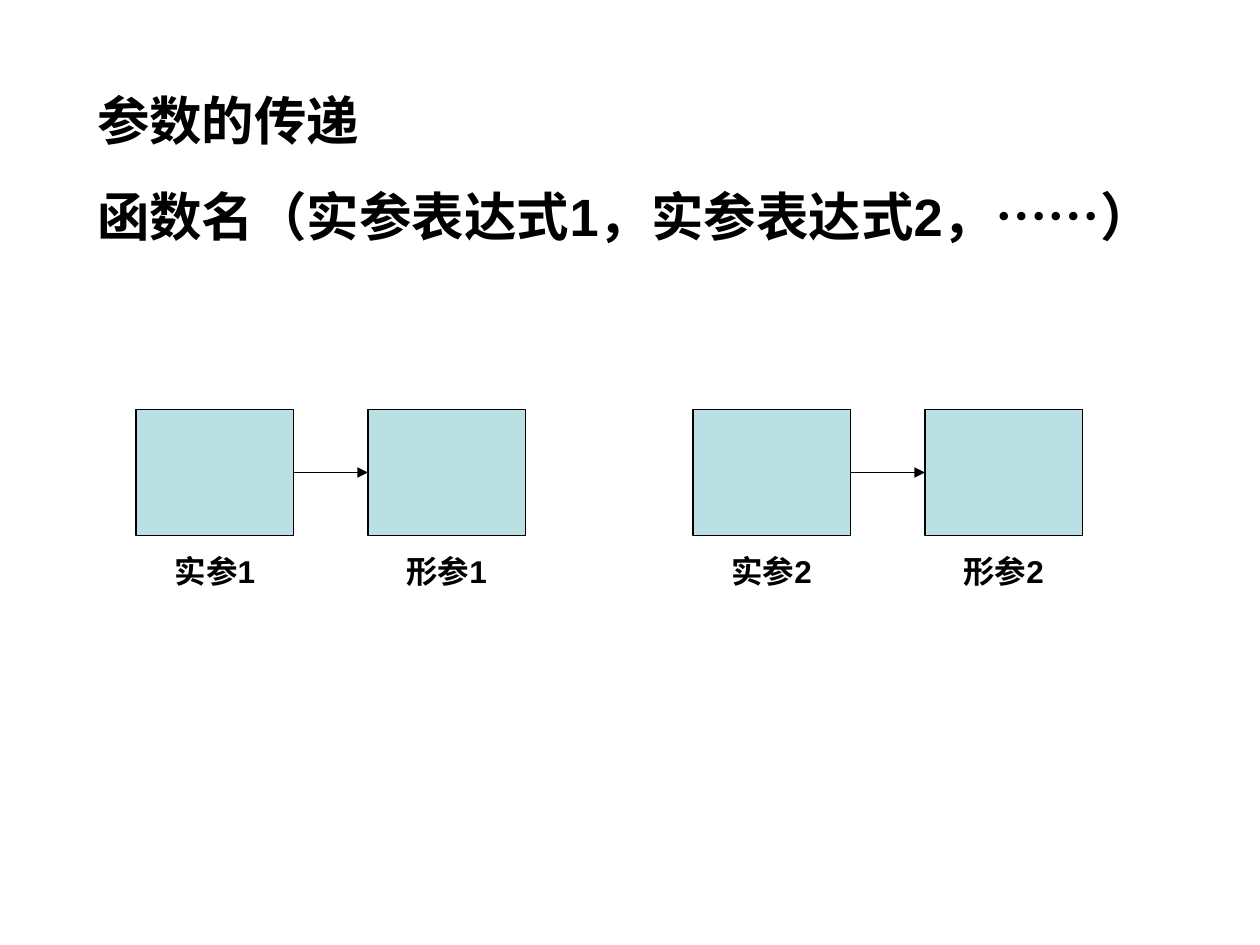
from lxml.etree import SubElement
from pptx import Presentation
from pptx.dml.color import RGBColor
from pptx.enum.shapes import MSO_CONNECTOR as CONNECTOR, MSO_SHAPE as SHAPE
from pptx.enum.text import MSO_ANCHOR as ANCHOR, MSO_AUTO_SIZE as AUTO_SIZE, PP_ALIGN as ALIGN
from pptx.oxml.ns import qn
from pptx.util import Inches, Pt

COLORS = {"ink": "000000", "cell": "BBE0E3"}
HEADING = {"size": Pt(30), "bold": True, "name": "Arial"}
CAPTION = {"size": Pt(18), "bold": True, "name": "Arial"}

CELL_WIDTH, CELL_HEIGHT = 1.25, 1
CELL_TOP, CAPTION_TOP = 3.25, 4.33
FORMAL_OFFSET = 1.84
PAIR_LEFTS = (1.08, 5.5)


def color(name):
    return RGBColor.from_string(COLORS[name])


def place(box, left, top, width, height):
    box.left, box.top = Inches(left), Inches(top)
    box.width, box.height = Inches(width), Inches(height)


def write(box, lines, style, align, space_before):
    frame = box.text_frame
    frame.word_wrap = True
    frame.auto_size = AUTO_SIZE.NONE
    frame.vertical_anchor = ANCHOR.TOP
    frame.text = "\n".join(lines)
    for para in frame.paragraphs:
        para.alignment = align
        para.space_before = Pt(space_before)
        for span in para.runs:
            for key, value in style.items():
                setattr(span.font, key, value)
            span.font.color.rgb = color("ink")


def add_cell(page, left, label):
    """Draw one memory cell with its caption below."""
    cell = page.shapes.add_shape(
        SHAPE.RECTANGLE, Inches(left), Inches(CELL_TOP), Inches(CELL_WIDTH), Inches(CELL_HEIGHT))
    cell.shadow.inherit = False
    cell.fill.solid()
    cell.fill.fore_color.rgb = color("cell")
    cell.line.color.rgb = color("ink")
    cell.line.width = Pt(0.75)
    caption = page.shapes.add_textbox(
        Inches(left), Inches(CAPTION_TOP), Inches(CELL_WIDTH), Inches(0.4))
    write(caption, [label], CAPTION, ALIGN.CENTER, 11.2)


def add_arrow(page, start, end, y):
    arrow = page.shapes.add_connector(
        CONNECTOR.STRAIGHT, Inches(start), Inches(y), Inches(end), Inches(y))
    arrow.line.color.rgb = color("ink")
    arrow.line.width = Pt(0.75)
    SubElement(arrow.line._get_or_add_ln(), qn("a:tailEnd"), type="triangle")
    SubElement(arrow._element.spPr, qn("a:effectLst"))


def add_pair(page, left, number):
    """Draw an actual argument passed to its formal parameter."""
    formal_left = left + FORMAL_OFFSET
    add_cell(page, left, f"实参{number}")
    add_cell(page, formal_left, f"形参{number}")
    add_arrow(page, left + CELL_WIDTH, formal_left, CELL_TOP + CELL_HEIGHT / 2)


def main():
    deck = Presentation()
    deck.slide_width, deck.slide_height = Inches(10), Inches(7.5)
    page = deck.slides.add_slide(deck.slide_layouts[5])
    title = page.shapes.title
    place(title, 0.67, 0.65, 9.08, 2.12)
    write(title, ["参数的传递", "函数名（实参表达式1，实参表达式2，……）"],
          HEADING, ALIGN.LEFT, 18.7)
    for number, left in enumerate(PAIR_LEFTS, start=1):
        add_pair(page, left, number)
    deck.save("out.pptx")


if __name__ == "__main__":
    main()
